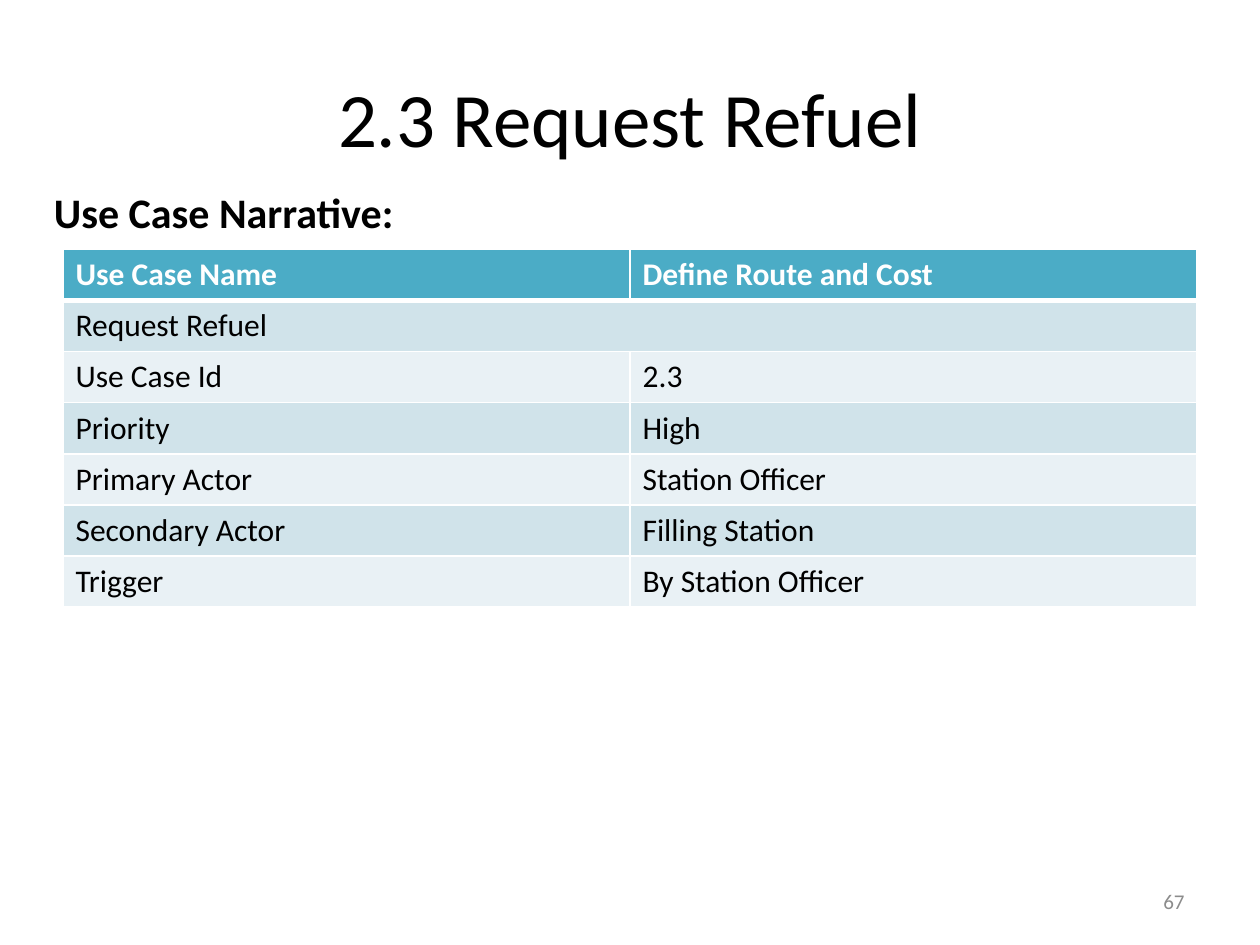
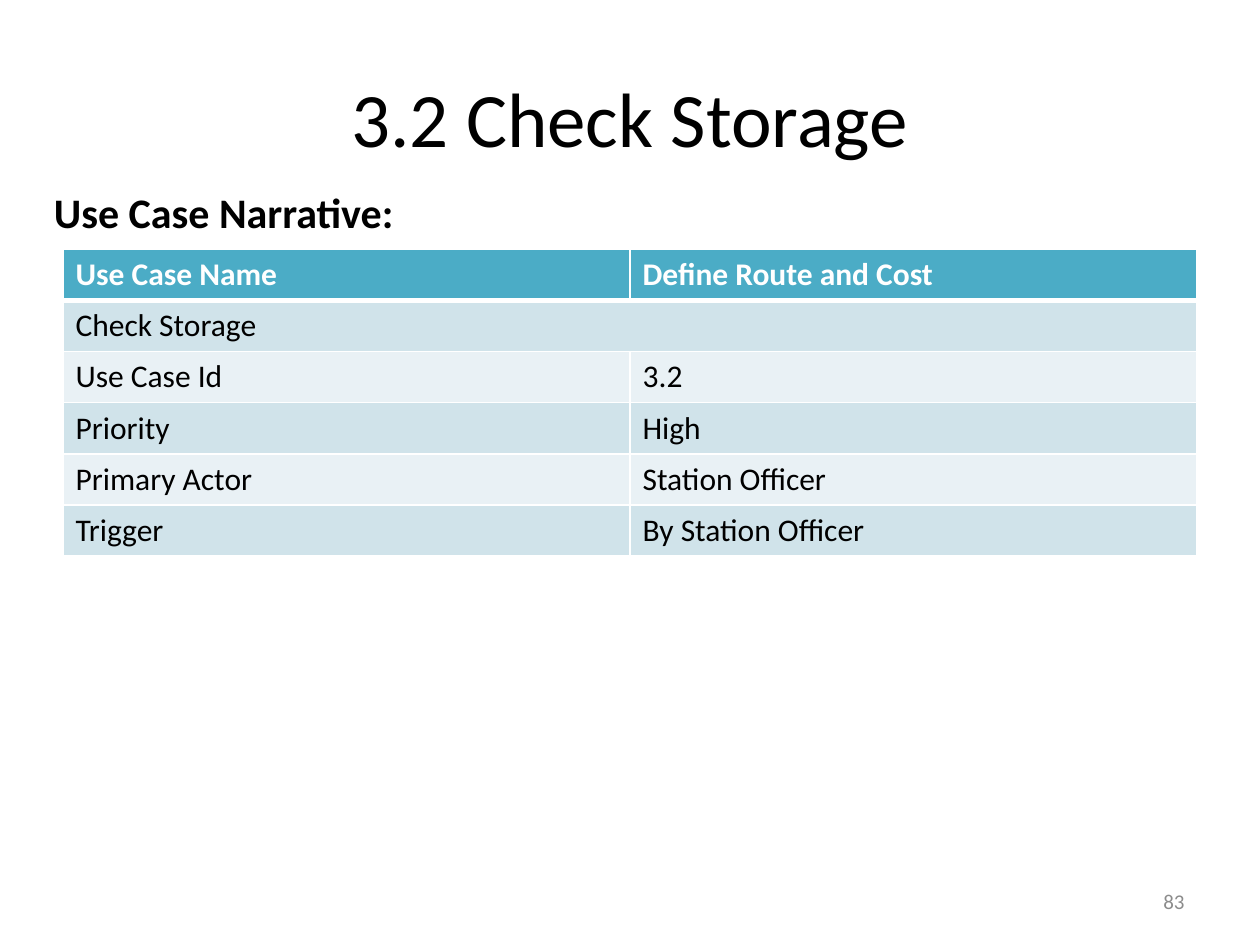
from pptx import Presentation
from pptx.dml.color import RGBColor
from pptx.enum.text import MSO_ANCHOR as Anchor, PP_ALIGN as Align
from pptx.oxml import parse_xml
from pptx.oxml.ns import nsdecls
from pptx.util import Inches, Pt

FONT = "Calibri"
COLORS = {
    "text": "000000",
    "white": "FFFFFF",
    "header": "4BACC6",
    "band_dark": "D0E3EA",
    "band_light": "E9F1F5",
    "number": "8C8C8C",
}
TITLE_ONLY = 5
TABLE_WIDTH = 9
ROW_HEIGHT = 2.84 / 7
HEADER_ROW = ("Use Case Name", "Define Route and Cost")

# Each use case: title, page number and table rows below the header
USE_CASES = [
    ("2.3 Request Refuel", 67, [
        ("Request Refuel",),
        ("Use Case Id", "2.3"),
        ("Priority", "High"),
        ("Primary Actor", "Station Officer"),
        ("Secondary Actor", "Filling Station"),
        ("Trigger", "By Station Officer"),
    ]),
    ("3.2 Check Storage", 83, [
        ("Check Storage",),
        ("Use Case Id", "3.2"),
        ("Priority", "High"),
        ("Primary Actor", "Station Officer"),
        ("Trigger", "By Station Officer"),
    ]),
]


def write_text(frame, text, size=18, color="text", bold=False,
               align=Align.LEFT, anchor=Anchor.TOP):
    frame.word_wrap = True
    frame.vertical_anchor = anchor
    paragraph = frame.paragraphs[0]
    paragraph.alignment = align
    run = paragraph.add_run()
    run.text = text
    run.font.name = FONT
    run.font.size = Pt(size)
    run.font.bold = bold
    run.font.color.rgb = RGBColor.from_string(COLORS[color])


def add_title(slide, text):
    title = slide.shapes.title
    title.left, title.top = Inches(0.5), Inches(0.3)
    title.width, title.height = Inches(9), Inches(1.25)
    write_text(title.text_frame, text, size=44,
               align=Align.CENTER, anchor=Anchor.MIDDLE)


def add_label(slide, text, left, top, width, height, **text_format):
    box = slide.shapes.add_textbox(
        Inches(left), Inches(top), Inches(width), Inches(height))
    write_text(box.text_frame, text, **text_format)


def set_borders(cell, top, bottom):
    """Draw white cell borders; top and bottom are widths in points."""
    properties = cell._tc.get_or_add_tcPr()
    widths = {"lnL": 1, "lnR": 1, "lnT": top, "lnB": bottom}
    for index, (side, width) in enumerate(widths.items()):
        properties.insert(index, parse_xml(
            f'<a:{side} {nsdecls("a")} w="{Pt(width)}"><a:solidFill>'
            f'<a:srgbClr val="{COLORS["white"]}"/></a:solidFill></a:{side}>'))


def fill_cell(cell, row_index):
    if row_index == 0:
        fill = "header"
    else:
        fill = "band_dark" if row_index % 2 else "band_light"
    cell.fill.solid()
    cell.fill.fore_color.rgb = RGBColor.from_string(COLORS[fill])
    set_borders(cell, top=3 if row_index == 1 else 1,
                bottom=3 if row_index == 0 else 1)


def add_narrative_table(slide, body_rows):
    rows = [HEADER_ROW, *body_rows]
    columns = len(HEADER_ROW)
    table = slide.shapes.add_table(
        len(rows), columns, Inches(0.5), Inches(1.98),
        Inches(TABLE_WIDTH), Inches(ROW_HEIGHT * len(rows))).table
    for row_index, texts in enumerate(rows):
        is_header = row_index == 0
        for column in range(columns):
            fill_cell(table.cell(row_index, column), row_index)
        # A single entry spans the whole row
        if len(texts) == 1:
            table.cell(row_index, 0).merge(table.cell(row_index, columns - 1))
        for column, text in enumerate(texts):
            write_text(table.cell(row_index, column).text_frame, text,
                       color="white" if is_header else "text", bold=is_header)


def add_use_case(presentation, title, number, body_rows):
    slide = presentation.slides.add_slide(
        presentation.slide_layouts[TITLE_ONLY])
    add_title(slide, title)
    add_narrative_table(slide, body_rows)
    add_label(slide, str(number), 7.17, 6.95, 2.33, 0.4, size=12,
              color="number", align=Align.RIGHT, anchor=Anchor.MIDDLE)
    add_label(slide, "Use Case Narrative:", 0.33, 1.43, 5.25, 0.5,
              size=24, bold=True)


def main():
    presentation = Presentation()
    presentation.slide_width = Inches(10)
    presentation.slide_height = Inches(7.5)
    for use_case in USE_CASES:
        add_use_case(presentation, *use_case)
    presentation.save("out.pptx")


if __name__ == "__main__":
    main()
